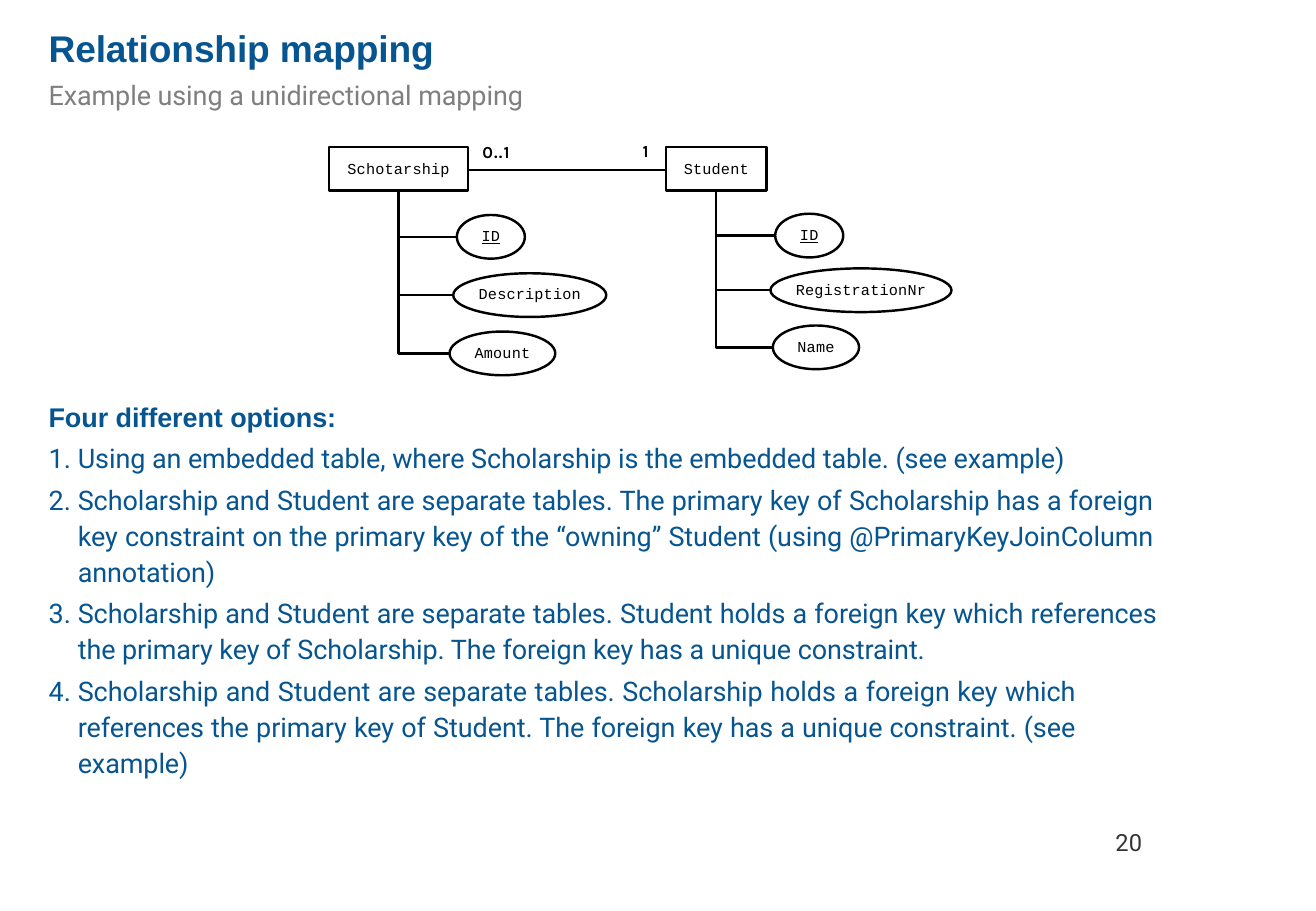
from lxml.etree import SubElement
from pptx import Presentation
from pptx.dml.color import RGBColor
from pptx.enum.shapes import MSO_CONNECTOR, MSO_SHAPE
from pptx.enum.text import MSO_ANCHOR, PP_ALIGN
from pptx.oxml.ns import qn
from pptx.util import Inches, Pt

COLORS = {"blue": "075590", "gray": "7F7F7F", "dark": "343434", "black": "000000"}

deck = Presentation()
deck.slide_width, deck.slide_height = Inches(10.83), Inches(7.5)
page = deck.slides.add_slide(deck.slide_layouts[6])


def add_span(para, text, font, size, color, bold=False, spacing=0):
    """Add a run; spacing is the letter spacing in hundredths of a point."""
    span = para.add_run()
    span.text = text
    span.font.name, span.font.size, span.font.bold = font, Pt(size), bold
    span.font.color.rgb = RGBColor.from_string(COLORS[color])
    span.font._element.set("spc", str(spacing))
    return span


def outline(shape):
    """Leave a shape unfilled, with a thin black line and no shadow."""
    shape.shadow.inherit = False
    shape.fill.background()
    shape.line.color.rgb = RGBColor.from_string(COLORS["black"])
    shape.line.width = Pt(1.45)


# Single-line texts: place, top inset, space before, indent, run
captions = [
    (0.39, 0.2, 3.22, 0.39, 0.01, 1, 0.01,
     ("Relationship mapping", "Arial", 22, "blue", True, -5)),
    (0.39, 0.63, 3.96, 0.29, 0.02, 1, 0.01,
     ("Example using a unidirectional mapping", "Roboto", 16, "gray", False, -2)),
    (3.96, 1.15, 0.33, 0.2, 0.02, 1.2, 0.01, ("0..1", "Karla", 10, "black", True, 70)),
    (5.28, 1.14, 0.13, 0.2, 0.02, 1.2, 0.01, ("1", "Karla", 10, "black", True, 120)),
    (9.14, 6.82, 0.3, 0.3, 0, 0, 0.04, ("20", "Roboto", 14, "dark")),
]
for left, top, width, height, inset, before, indent, run in captions:
    box = page.shapes.add_textbox(Inches(left), Inches(top), Inches(width), Inches(height))
    frame = box.text_frame
    frame.word_wrap = False
    frame.margin_left, frame.margin_right, frame.margin_bottom = Inches(indent), 0, 0
    frame.margin_top = Inches(inset)
    frame.paragraphs[0].space_before = Pt(before)
    add_span(frame.paragraphs[0], *run)

# Entities with their attributes: every node is (name, left, top, width)
NODE_HEIGHT = 0.36
entities = [
    (("Schotarship", 2.71, 1.21, 1.14),
     [("ID", 3.76, 1.77, 0.56), ("Description", 3.73, 2.25, 1.26), ("Amount", 3.7, 2.73, 0.87)]),
    (("Student", 5.48, 1.21, 0.83),
     [("ID", 6.38, 1.76, 0.56), ("RegistrationNr", 6.34, 2.21, 1.49), ("Name", 6.36, 2.68, 0.71)]),
]
relation = page.shapes.add_connector(
    MSO_CONNECTOR.STRAIGHT, Inches(3.85), Inches(1.4), Inches(5.48), Inches(1.4))
relation.line.color.rgb = RGBColor.from_string(COLORS["black"])
relation.line.width = Pt(1.53)
SubElement(relation._element.spPr, qn("a:effectLst"))

for entity, attributes in entities:
    stem = Inches(entity[1] + entity[3] / 2)
    stem_top = Inches(entity[2] + NODE_HEIGHT + 0.01)
    branches = page.shapes.build_freeform(stem, stem_top)
    for name, left, top, width in attributes:
        middle = Inches(top + NODE_HEIGHT / 2)
        branches.move_to(stem, stem_top)
        branches.add_line_segments([(stem, middle), (Inches(left), middle)], close=False)
    outline(branches.convert_to_shape())

    for name, left, top, width in [entity] + attributes:
        is_entity = name == entity[0]
        node = page.shapes.add_shape(
            MSO_SHAPE.RECTANGLE if is_entity else MSO_SHAPE.OVAL,
            Inches(left), Inches(top), Inches(width), Inches(NODE_HEIGHT))
        outline(node)
        frame = node.text_frame
        frame.word_wrap = False
        frame.margin_left = frame.margin_right = frame.margin_top = 0
        frame.margin_bottom = 0 if is_entity else Inches(0.02)
        frame.vertical_anchor = MSO_ANCHOR.MIDDLE
        frame.paragraphs[0].alignment = PP_ALIGN.CENTER
        span = add_span(frame.paragraphs[0], name, "Courier New", 9, "black", spacing=10)
        if name == "ID":
            span.font.underline = True

# Numbered options: text, right indent, line spacing, space before
options = [
    ("Using an embedded table, where Scholarship is the embedded table. (see example)",
     0, 1, 5.2),
    ("Scholarship and Student are separate tables. The primary key of Scholarship has a "
     "foreign key constraint on the primary key of the “owning” Student (using "
     "@PrimaryKeyJoinColumn annotation)", 0.1, 1.12, 2.9),
    ("Scholarship and Student are separate tables. Student holds a foreign key which "
     "references the primary key of Scholarship. The foreign key has a unique constraint.",
     0.07, 1.12, 2.9),
    ("Scholarship and Student are separate tables. Scholarship holds a foreign key which "
     "references the primary key of Student. The foreign key has a unique constraint. "
     "(see example)", 0.74, 1.12, 2.9),
]
box = page.shapes.add_textbox(Inches(0.39), Inches(3.22), Inches(9.21), Inches(3.21))
frame = box.text_frame
frame.word_wrap = True
frame.margin_left = frame.margin_right = frame.margin_bottom = 0
frame.margin_top = Inches(0.08)
heading = frame.paragraphs[0]
heading.space_before = Pt(6.2)
heading._p.get_or_add_pPr().set("marL", str(Inches(0.01)))
add_span(heading, "Four different options:", "Arial", 16, "blue", True, -3)
for text, right, spacing, before in options:
    para = frame.add_paragraph()
    para.alignment = PP_ALIGN.JUSTIFY
    para.line_spacing = spacing
    para.space_before = Pt(before)
    properties = para._p.get_or_add_pPr()
    for key, length in (("marL", 0.25), ("marR", right), ("indent", -0.24)):
        properties.set(key, str(Inches(length)))
    SubElement(properties, qn("a:buFont"), typeface="Roboto")
    SubElement(properties, qn("a:buAutoNum"), type="arabicPeriod")
    add_span(para, text, "Roboto", 16, "blue", spacing=-2)

deck.save("out.pptx")
